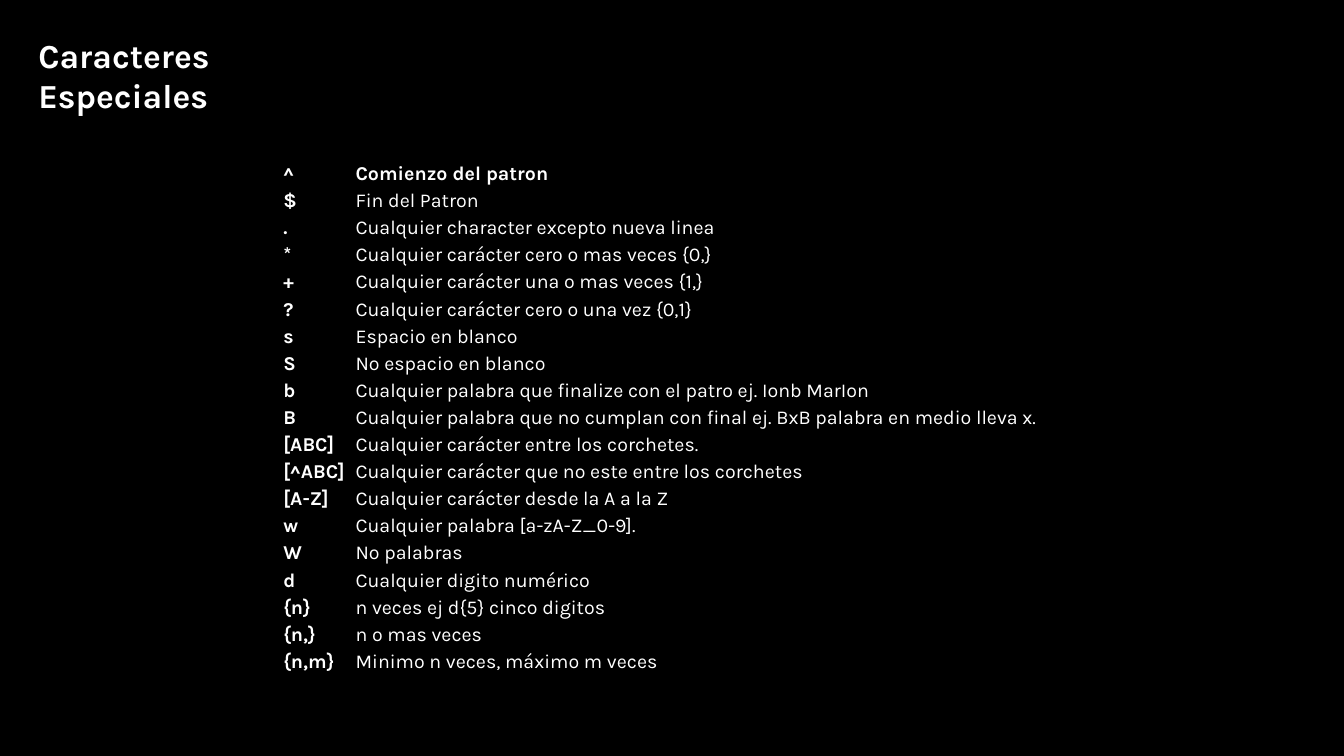
import pptx
import pptx.util
import pptx.dml.color
import pptx.enum.text
import pptx.oxml
import pptx.oxml.ns
from pptx.util import Cm

HEADING = "Caracteres Especiales"
PATTERNS = [
    ("^", "Comienzo del patron"),
    ("$", "Fin del Patron"),
    (".", "Cualquier character excepto nueva linea"),
    ("*", "Cualquier carácter cero o mas veces {0,}"),
    ("+", "Cualquier carácter una o mas veces {1,}"),
    ("?", "Cualquier carácter cero o una vez {0,1}"),
    ("s", "Espacio en blanco"),
    ("S", "No espacio en blanco"),
    ("b", "Cualquier palabra que finalize con el patro ej. Ionb MarIon"),
    ("B", "Cualquier palabra que no cumplan con final ej. BxB palabra en medio lleva x."),
    ("[ABC]", "Cualquier carácter entre los corchetes."),
    ("[^ABC]", "Cualquier carácter que no este entre los corchetes"),
    ("[A-Z]", "Cualquier carácter desde la A a la Z"),
    ("w", "Cualquier palabra [a-zA-Z_0-9]."),
    ("W", "No palabras"),
    ("d", "Cualquier digito numérico"),
    ("{n}", "n veces ej d{5} cinco digitos"),
    ("{n,}", "n o mas veces"),
    ("{n,m}", "Minimo n veces, máximo m veces"),
]
COLORS = {"background": "000000", "text": "FFFFFF"}
FONT = "Karla"
SYMBOL_WIDTH, MEANING_WIDTH = Cm(1.82), Cm(18.05)
TABLE_HEIGHT = Cm(12.98)


def rgb(name):
    return pptx.dml.color.RGBColor.from_string(COLORS[name])


def write(frame, text, size=14, bold=False, spacing=1.0):
    paragraph = frame.paragraphs[0]
    paragraph.alignment = pptx.enum.text.PP_ALIGN.LEFT
    paragraph.line_spacing = spacing
    run = paragraph.add_run()
    run.text = text
    run.font.name = FONT
    run.font.size = pptx.util.Pt(size)
    run.font.bold = bold
    run.font.color.rgb = rgb("text")


def clear_cell(cell):
    properties = cell._tc.get_or_add_tcPr()
    for side in ("a:lnL", "a:lnR", "a:lnT", "a:lnB"):
        border = pptx.oxml.parse_xml(
            f'<{side} {pptx.oxml.ns.nsdecls("a")} w="0"><a:noFill/></{side}>')
        properties.append(border)
    cell.fill.background()
    cell.margin_left = cell.margin_right = cell.margin_top = cell.margin_bottom = 0


deck = pptx.Presentation()
deck.slide_width, deck.slide_height = Cm(33.87), Cm(19.05)
slide = deck.slides.add_slide(deck.slide_layouts[5])
slide.background.fill.solid()
slide.background.fill.fore_color.rgb = rgb("background")

# Heading
heading = slide.shapes.title
heading.left, heading.top, heading.width, heading.height = Cm(0.71), Cm(0.74), Cm(8.94), Cm(1.27)
heading.text_frame.word_wrap = True
heading.text_frame.auto_size = pptx.enum.text.MSO_AUTO_SIZE.NONE
heading.text_frame.vertical_anchor = pptx.enum.text.MSO_ANCHOR.TOP
write(heading.text_frame, HEADING, size=24, bold=True)

# Table of patterns
patterns = slide.shapes.add_table(
    len(PATTERNS), 2, Cm(7.14), Cm(4.01), SYMBOL_WIDTH + MEANING_WIDTH, TABLE_HEIGHT).table
patterns.first_row = patterns.horz_banding = False
patterns.columns[0].width = SYMBOL_WIDTH
patterns.columns[1].width = MEANING_WIDTH
for row, entry in enumerate(PATTERNS):
    patterns.rows[row].height = TABLE_HEIGHT // len(PATTERNS)
    for column, text in enumerate(entry):
        cell = patterns.cell(row, column)
        clear_cell(cell)
        write(cell.text_frame, text, bold=column == 0 or row == 0, spacing=1.15)

deck.save("out.pptx")
